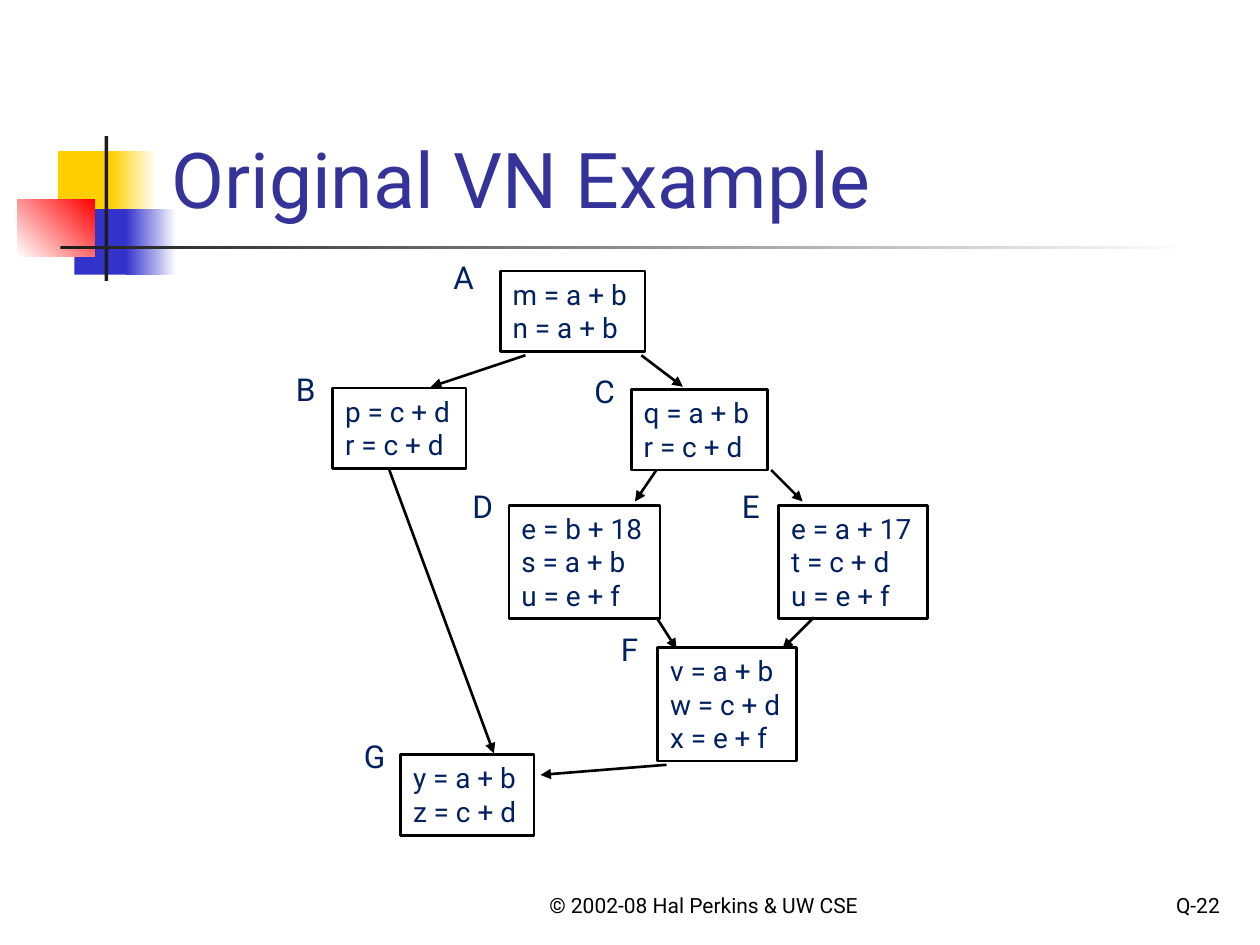
from lxml import etree
from pptx import Presentation
from pptx.dml.color import RGBColor
from pptx.enum.shapes import MSO_CONNECTOR as CONN, MSO_SHAPE as SHAPE
from pptx.enum.text import MSO_ANCHOR as ANCHOR, MSO_AUTO_SIZE as AUTO, PP_ALIGN as ALIGN
from pptx.oxml.ns import qn
from pptx.util import Inches, Pt

FONT = "Roboto"
COLORS = {
    "yellow": "FFCF01", "blue": "3333CC", "red": "FF0000", "white": "FFFFFF",
    "dark": "1C1C1C", "title": "333399", "code": "002060", "black": "000000",
}

# Decoration: left, top, width, height, colours (two make a gradient), angle
DECORATION = [
    (0.46, 1.2, 0.48, 0.52, ["yellow"], 0),
    (0.88, 1.2, 0.36, 0.52, ["yellow", "white"], 0),
    (0.59, 1.66, 0.46, 0.52, ["blue"], 0),
    (1, 1.66, 0.4, 0.52, ["blue", "white"], 0),
    (0.14, 1.58, 0.61, 0.46, ["white", "red"], 45),
    (0.83, 1.08, 0.03, 1.15, ["dark"], 0),
    (0.48, 1.95, 9, 0.03, ["dark", "white"], 0),
]
TITLE = "Original VN Example"
# Footer: left, width, text, alignment
FOOTERS = [
    (4, 3.17, "© 2002-08 Hal Perkins & UW CSE", ALIGN.CENTER),
    (7.7, 2.08, "Q-22", ALIGN.RIGHT),
]
# Basic blocks: name, left, top, width, statements
BLOCKS = [
    ("A", 3.97, 2.15, 1.15, ["m = a + b", "n = a + b"]),
    ("B", 2.64, 3.08, 1.06, ["p = c + d", "r = c + d"]),
    ("C", 5.01, 3.09, 1.08, ["q = a + b", "r = c + d"]),
    ("D", 4.04, 4.01, 1.2, ["e = b + 18", "s = a + b", "u = e + f"]),
    ("E", 6.18, 4.01, 1.18, ["e = a + 17", "t = c + d", "u = e + f"]),
    ("F", 5.22, 5.14, 1.1, ["v = a + b", "w = c + d", "x = e + f"]),
    ("G", 3.18, 5.99, 1.06, ["y = a + b", "z = c + d"]),
]
LINE_HEIGHT, BLOCK_PADDING = 0.26, 0.12
LABEL_OFFSET = (-0.39, -0.19)
LABEL_OFFSETS = {"A": (-0.47, -0.15)}
# Control-flow edges: start x, y, end x, y
EDGES = [
    (5.29, 6.07, 4.29, 6.15),  # F to G
    (5.21, 3.73, 5.04, 3.98),  # C to D
    (6.12, 3.73, 6.37, 3.98),  # C to E
    (6.46, 4.9, 6.21, 5.15),   # E to F
    (5.21, 4.9, 5.37, 5.15),   # D to F
    (5.09, 2.82, 5.42, 3.07),  # A to C
    (4.17, 2.82, 3.42, 3.07),  # A to B
    (3.09, 3.73, 3.92, 5.98),  # B to G
]


def rgb(name):
    return RGBColor.from_string(COLORS[name])


def write(sp, lines, size, color, align=ALIGN.LEFT, anchor=ANCHOR.TOP, grow=False):
    tf = sp.text_frame
    tf.word_wrap = not grow
    tf.auto_size = AUTO.SHAPE_TO_FIT_TEXT if grow else AUTO.NONE
    tf.vertical_anchor = anchor
    for i, line in enumerate(lines):
        p = tf.add_paragraph() if i else tf.paragraphs[0]
        p.alignment = align
        r = p.add_run()
        r.text = line
        r.font.name, r.font.size = FONT, Pt(size)
        r.font.color.rgb = rgb(color)


def add_rect(slide, *box):
    sp = slide.shapes.add_shape(SHAPE.RECTANGLE, *map(Inches, box))
    sp.shadow.inherit = False
    return sp


def add_decoration(slide, *box, colors, angle):
    sp = add_rect(slide, *box)
    sp.line.fill.background()
    if len(colors) == 1:
        sp.fill.solid()
        sp.fill.fore_color.rgb = rgb(colors[0])
        return
    sp.fill.gradient()
    sp.fill.gradient_angle = angle
    for stop, color, position in zip(sp.fill.gradient_stops, colors, (0, 1)):
        stop.color.rgb = rgb(color)
        stop.position = position


def add_block(slide, name, left, top, width, lines):
    height = BLOCK_PADDING + LINE_HEIGHT * len(lines)
    sp = add_rect(slide, left, top, width, height)
    sp.fill.background()
    sp.line.color.rgb = rgb("black")
    sp.line.width = Pt(1.5)
    write(sp, lines, 16, "code", grow=True)
    dx, dy = LABEL_OFFSETS.get(name, LABEL_OFFSET)
    label = slide.shapes.add_textbox(*map(Inches, (left + dx, top + dy, 0.36, 0.4)))
    write(label, [name], 18, "code", grow=True)


def add_arrow(slide, *ends):
    line = slide.shapes.add_connector(CONN.STRAIGHT, *map(Inches, ends))
    line.line.color.rgb = rgb("black")
    line.line.width = Pt(1.5)
    etree.SubElement(line.line._get_or_add_ln(), qn("a:tailEnd"), type="triangle")
    etree.SubElement(line._element.spPr, qn("a:effectLst"))


def main():
    prs = Presentation()
    prs.slide_width, prs.slide_height = Inches(10), Inches(7.5)
    slide = prs.slides.add_slide(prs.slide_layouts[5])

    # Corner squares and rules
    for *box, colors, angle in DECORATION:
        add_decoration(slide, *box, colors=colors, angle=angle)

    # Title, brought in front of the decoration
    title = slide.shapes.title
    title.left, title.top, title.width, title.height = map(Inches, (1.26, 0.23, 8.52, 1.6))
    write(title, [TITLE], 44, "title", anchor=ANCHOR.BOTTOM)
    slide.shapes._spTree.append(title._element)

    # Footer
    for left, width, text, align in FOOTERS:
        sp = slide.shapes.add_textbox(*map(Inches, (left, 6.83, width, 0.5)))
        write(sp, [text], 12, "black", align, ANCHOR.BOTTOM)

    # Flow graph
    for block in BLOCKS:
        add_block(slide, *block)
    for edge in EDGES:
        add_arrow(slide, *edge)

    prs.save("out.pptx")


if __name__ == "__main__":
    main()
